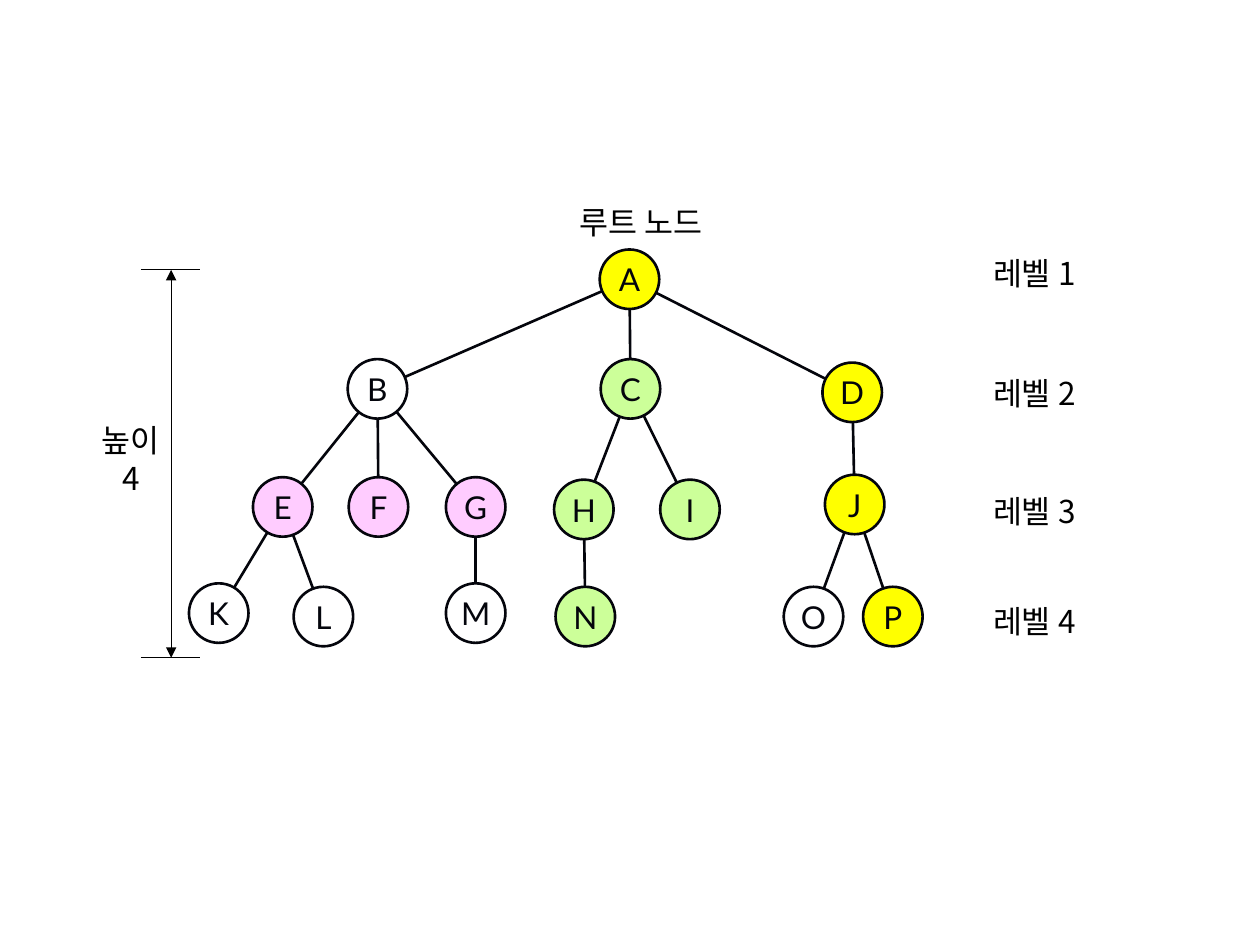
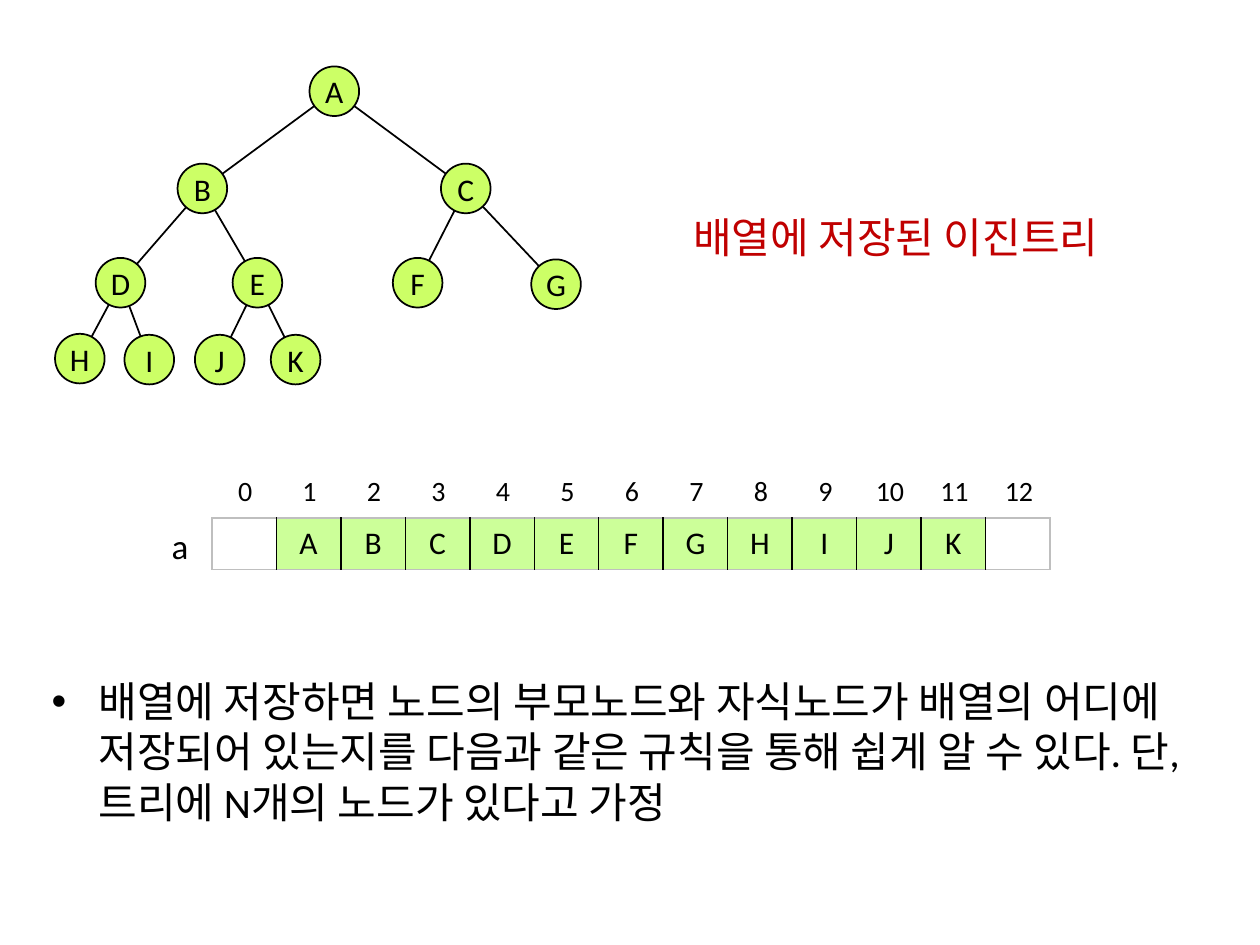
"""Build two slides: a general tree with its levels, and a binary tree stored in an array."""
from dataclasses import dataclass
from math import hypot

from lxml.etree import SubElement
from pptx import Presentation
from pptx.dml.color import RGBColor
from pptx.enum.shapes import MSO_CONNECTOR, MSO_SHAPE
from pptx.enum.text import MSO_ANCHOR, PP_ALIGN
from pptx.oxml.ns import qn
from pptx.util import Cm, Pt


@dataclass(frozen=True)
class Theme:
    ink: str = "04050C"
    black: str = "000000"
    red: str = "C00000"
    grey: str = "BFBFBF"
    white: str = "FFFFFF"
    yellow: str = "FFFF00"
    pink: str = "FFCCFF"
    green: str = "CCFF99"
    lime: str = "CCFF66"
    node_font: str = "Lato"
    body_font: str = "Calibri"
    korean_font: str = "Noto Sans CJK KR"
    index_size: int = 16
    label_size: int = 18
    name_size: int = 20
    body_size: int = 24


THEME = Theme()

# name: (parent, centre x, centre y, fill)
GENERAL_TREE = {
    "A": (None, 12.69, 5.63, THEME.yellow),
    "B": ("A", 7.61, 7.84, THEME.white),
    "C": ("A", 12.71, 7.84, THEME.green),
    "D": ("A", 17.18, 7.91, THEME.yellow),
    "E": ("B", 5.7, 10.22, THEME.pink),
    "F": ("B", 7.63, 10.22, THEME.pink),
    "G": ("B", 9.59, 10.22, THEME.pink),
    "H": ("C", 11.77, 10.27, THEME.green),
    "I": ("C", 13.91, 10.27, THEME.green),
    "J": ("D", 17.23, 10.17, THEME.yellow),
    "K": ("E", 4.41, 12.36, THEME.white),
    "L": ("E", 6.52, 12.43, THEME.white),
    "M": ("G", 9.59, 12.36, THEME.white),
    "N": ("H", 11.8, 12.43, THEME.green),
    "O": ("J", 16.4, 12.43, THEME.white),
    "P": ("J", 18, 12.43, THEME.yellow),
}
LEVEL_TOPS = [5, 7.42, 9.8, 12.01]
ROOT_LABEL = "루트 노드"
HEIGHT_LABEL = ["높이", "4"]
HEIGHT_TOP, HEIGHT_BOTTOM = 5.44, 13.26

TITLE = "배열에 저장된 이진트리"
ARRAY_NAME = "a"
BINARY_CENTRES = [
    (6.74, 1.84), (4.08, 3.8), (9.39, 3.8), (2.43, 5.7), (5.19, 5.7), (8.42, 5.7),
    (11.21, 5.73), (1.61, 7.23), (3.01, 7.25), (4.43, 7.25), (5.96, 7.25),
]
BINARY_NAMES = "ABCDEFGHIJK"
ARRAY_VALUES = ["", *BINARY_NAMES, ""]
RULE_TEXT = ("배열에 저장하면 노드의 부모노드와 자식노드가 배열의 어디에 저장되어 있는지를 "
             "다음과 같은 규칙을 통해 쉽게 알 수 있다. 단, 트리에 N개의 노드가 있다고 가정")


def colour(value):
    return RGBColor.from_string(value)


def write(frame, lines, size, font, ink=THEME.black, align=PP_ALIGN.CENTER):
    for number, line in enumerate(lines):
        paragraph = frame.paragraphs[0] if number == 0 else frame.add_paragraph()
        paragraph.alignment = align
        run = paragraph.add_run()
        run.text = line
        run.font.size = Pt(size)
        run.font.bold = False
        run.font.color.rgb = colour(ink)
        run.font.name = font
        SubElement(run.font._element, qn("a:ea"), typeface=THEME.korean_font)


def add_label(shapes, box, lines, size, font, align=PP_ALIGN.CENTER):
    shape = shapes.add_textbox(*map(Cm, box))
    shape.text_frame.word_wrap = True
    write(shape.text_frame, lines, size, font, align=align)
    return shape


def add_line(shapes, start, end, width, ink=THEME.black, arrows=False):
    connector = shapes.add_connector(MSO_CONNECTOR.STRAIGHT, *map(Cm, (*start, *end)))
    connector.line.color.rgb = colour(ink)
    connector.line.width = Pt(width)
    if arrows:
        outline = connector.line._get_or_add_ln()
        for tag in ("a:headEnd", "a:tailEnd"):
            SubElement(outline, qn(tag), type="triangle")
    SubElement(connector._element.spPr, qn("a:effectLst"))


def add_node(shapes, name, x, y, fill, diameter, width, font, ink):
    shape = shapes.add_shape(MSO_SHAPE.OVAL, Cm(x - diameter / 2), Cm(y - diameter / 2),
                             Cm(diameter), Cm(diameter))
    shape.shadow.inherit = False
    shape.fill.solid()
    shape.fill.fore_color.rgb = colour(fill)
    shape.line.color.rgb = colour(ink)
    shape.line.width = Pt(width)
    frame = shape.text_frame
    frame.margin_left = frame.margin_right = frame.margin_top = frame.margin_bottom = 0
    frame.vertical_anchor = MSO_ANCHOR.MIDDLE
    frame.word_wrap = False
    write(frame, [name], THEME.label_size, font, ink)


def add_tree(slide, tree, diameter, width, font, ink, trim=0):
    shapes = slide.shapes.add_group_shape().shapes
    for parent, x, y, _ in tree.values():
        if parent:
            _, parent_x, parent_y, _ = tree[parent]
            share = trim / hypot(x - parent_x, y - parent_y)
            shift_x, shift_y = share * (x - parent_x), share * (y - parent_y)
            add_line(shapes, (parent_x + shift_x, parent_y + shift_y),
                     (x - shift_x, y - shift_y), width, ink)
    for name, (_, x, y, fill) in tree.items():
        add_node(shapes, name, x, y, fill, diameter, width, font, ink)


def set_borders(cell, borders):
    properties = cell._tc.get_or_add_tcPr()
    for position, (tag, ink) in enumerate(zip(("a:lnL", "a:lnR", "a:lnT", "a:lnB"), borders)):
        border = SubElement(properties, qn(tag), w=str(Pt(1)))
        properties.insert(position, border)
        if ink:
            fill = SubElement(border, qn("a:solidFill"))
            SubElement(fill, qn("a:srgbClr"), val=ink)
        else:
            SubElement(border, qn("a:noFill"))


def add_row(slide, left, top, values, size, boxed):
    count = len(values)
    table = slide.shapes.add_table(1, count, Cm(left), Cm(top), Cm(1.3 * count), Cm(1.04)).table
    table.first_row = table.horz_banding = False
    for column, value in enumerate(values):
        table.columns[column].width = Cm(1.3)
        cell = table.cell(0, column)
        cell.vertical_anchor = MSO_ANCHOR.MIDDLE
        cell.margin_left = cell.margin_right = 0
        if boxed and value:
            cell.fill.solid()
            cell.fill.fore_color.rgb = colour(THEME.green)
        else:
            cell.fill.background()
        if value:
            write(cell.text_frame, [value], size, THEME.body_font)
        left_ink = THEME.black if column else THEME.grey
        right_ink = THEME.black if column < count - 1 else THEME.grey
        borders = (left_ink, right_ink, THEME.grey, THEME.grey) if boxed else (None,) * 4
        set_borders(cell, borders)


def build_general_tree(presentation):
    slide = presentation.slides.add_slide(presentation.slide_layouts[6])
    add_tree(slide, GENERAL_TREE, 1.2, 1.5, THEME.node_font, THEME.ink, trim=0.5)
    labels = [((19.25, top, 3.2, 1.02), [f"레벨 {level}"])
              for level, top in enumerate(LEVEL_TOPS, 1)]
    labels += [((11.05, 3.96, 3.76, 1.02), [ROOT_LABEL]),
               ((1.04, 8.36, 3.2, 1.8), HEIGHT_LABEL)]
    for box, lines in labels:
        add_label(slide.shapes, box, lines, THEME.label_size, THEME.korean_font)
    add_line(slide.shapes, (3.45, HEIGHT_BOTTOM), (3.45, HEIGHT_TOP), 0.5, arrows=True)
    for y in (HEIGHT_TOP, HEIGHT_BOTTOM):
        add_line(slide.shapes, (2.84, y), (4.04, y), 0.5)


def build_array_tree(presentation):
    slide = presentation.slides.add_slide(presentation.slide_layouts[5])
    title = slide.shapes.title
    title.left, title.top, title.width, title.height = map(Cm, (13.72, 4.14, 9.91, 1.27))
    title.text_frame.vertical_anchor = MSO_ANCHOR.TOP
    write(title.text_frame, [TITLE], THEME.body_size, THEME.body_font, THEME.red, PP_ALIGN.LEFT)

    tree = {}
    for index, (name, centre) in enumerate(zip(BINARY_NAMES, BINARY_CENTRES), 1):
        parent = BINARY_NAMES[index // 2 - 1] if index > 1 else None
        tree[name] = (parent, *centre, THEME.lime)
    add_tree(slide, tree, 1, 1, THEME.body_font, THEME.black)

    add_label(slide.shapes, (2.92, 10.44, 1.42, 1.12), [ARRAY_NAME],
              THEME.name_size, THEME.body_font)
    add_row(slide, 4.27, 10.44, ARRAY_VALUES, THEME.label_size, boxed=True)
    indexes = [str(index) for index in range(len(ARRAY_VALUES))]
    add_row(slide, 4.29, 9.4, indexes, THEME.index_size, boxed=False)

    rule = add_label(slide.shapes, (0.79, 13.49, 23.85, 3.33), [RULE_TEXT],
                     THEME.body_size, THEME.body_font, PP_ALIGN.LEFT)
    properties = rule.text_frame.paragraphs[0]._p.get_or_add_pPr()
    properties.set("marL", str(Cm(0.95)))
    properties.set("indent", str(-Cm(0.95)))
    SubElement(properties, qn("a:buFont"), typeface="Arial")
    SubElement(properties, qn("a:buChar"), char="•")


def main():
    presentation = Presentation()
    presentation.slide_width, presentation.slide_height = Cm(25.4), Cm(19.05)
    build_general_tree(presentation)
    build_array_tree(presentation)
    presentation.save("out.pptx")


if __name__ == "__main__":
    main()
